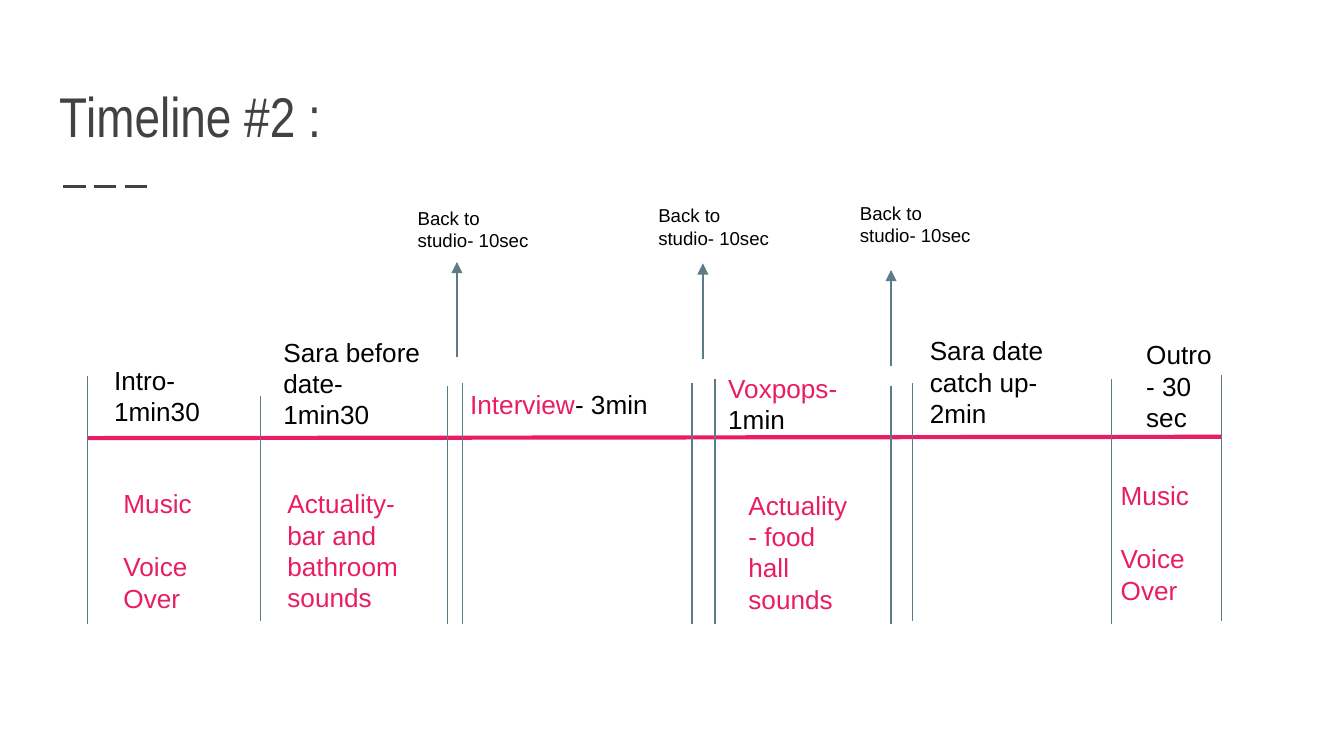
from lxml import etree
from pptx import Presentation
from pptx.dml.color import RGBColor
from pptx.enum.dml import MSO_LINE
from pptx.enum.shapes import MSO_CONNECTOR
from pptx.enum.text import MSO_ANCHOR, MSO_AUTO_SIZE, PP_ALIGN
from pptx.oxml.ns import qn
from pptx.util import Inches, Pt

STRAIGHT = MSO_CONNECTOR.STRAIGHT
LONG_DASH = MSO_LINE.LONG_DASH
BOTTOM, TOP = MSO_ANCHOR.BOTTOM, MSO_ANCHOR.TOP
GROW = MSO_AUTO_SIZE.SHAPE_TO_FIT_TEXT
LEFT = PP_ALIGN.LEFT

PINK, SLATE, GRAY, BLACK = "E91D63", "5D7B89", "424242", "000000"

DIVIDERS = [
    (0.65, 2.8, 4.64), (1.94, 2.95, 4.62), (3.33, 2.87, 4.64),
    (3.44, 2.85, 4.64), (5.15, 2.85, 4.64), (5.32, 2.82, 4.64),
    (6.63, 2.87, 4.64), (6.79, 2.85, 4.62), (8.27, 2.82, 4.64),
    (9.09, 2.79, 4.62),
]
SEGMENTS = [
    (0.75, 2.66, 0.92, 0.57, [("Intro- 1min30", BLACK)]),
    (2.01, 2.45, 1.32, 0.81, [("Sara before date- 1min30", BLACK)]),
    (5.32, 2.72, 1.26, 0.57, [("Voxpops-", PINK), (" 1min", BLACK)]),
    (6.82, 2.44, 1.3, 0.81, [("Sara date catch up- 2min", BLACK)]),
    (8.43, 2.47, 0.7, 0.81, [("Outro- 30 sec", BLACK)]),
]
SOUNDS = [
    (0.82, 3.58, 1.03, 1.04, ["Music", "Voice Over"]),
    (2.04, 3.58, 1.2, 1.04, ["Actuality- bar and bathroom sounds"]),
    (5.47, 3.59, 0.95, 1.04, ["Actuality- food hall sounds"]),
    (8.24, 3.52, 1.03, 1.04, ["Music", "Voice Over"]),
]
STUDIO_BREAKS = [
    (3.01, 1.49, 3.4, 2.66), (4.8, 1.47, 5.23, 2.67), (6.3, 1.45, 6.63, 2.72),
]
ARROW_LENGTH = 0.71


def rgb(color):
    return RGBColor.from_string(color)


def add_line(slide, x1, y1, x2, y2, color=SLATE, width=0.75):
    line = slide.shapes.add_connector(
        STRAIGHT, Inches(x1), Inches(y1), Inches(x2), Inches(y2))
    line.line.color.rgb = rgb(color)
    line.line.width = Pt(width)
    etree.SubElement(line._element.spPr, qn("a:effectLst"))
    return line


def add_arrow(slide, x, y1, y2):
    arrow = add_line(slide, x, y1, x, y2)
    etree.SubElement(arrow.line._get_or_add_ln(), qn("a:tailEnd"), type="triangle")


def add_text(slide, x, y, w, h, paragraphs, size=14, wrap=True):
    box = slide.shapes.add_textbox(Inches(x), Inches(y), Inches(w), Inches(h))
    tf = box.text_frame
    tf.word_wrap = wrap
    tf.auto_size = GROW
    tf.vertical_anchor = TOP
    for i, runs in enumerate(paragraphs):
        p = tf.add_paragraph() if i else tf.paragraphs[0]
        p.font.size = Pt(size)
        p.font.name = "Arial"
        if i:
            p.space_before = Pt(17)
        for text, color in runs:
            r = p.add_run()
            r.text = text
            r.font.color.rgb = rgb(color)


def set_title(slide, text):
    title = slide.shapes.title
    title.left, title.top = Inches(0.34), Inches(0.41)
    title.width, title.height = Inches(9.32), Inches(0.8)
    tf = title.text_frame
    tf.margin_left = tf.margin_right = Inches(0.1)
    tf.margin_top = tf.margin_bottom = Inches(0.1)
    tf.vertical_anchor = BOTTOM
    tf.text = text
    p = tf.paragraphs[0]
    p.alignment = LEFT
    p.font.size = Pt(30)
    p.font.name = "Arial Narrow"
    p.font.color.rgb = rgb(GRAY)


def main():
    prs = Presentation()
    prs.slide_width = Inches(10)
    prs.slide_height = prs.slide_width * 9 // 16
    slide = prs.slides.add_slide(prs.slide_layouts[5])

    set_title(slide, "Timeline #2 :")
    rule = add_line(slide, 0.47, 1.39, 1.14, 1.39, GRAY, 1.5)
    rule.line.dash_style = LONG_DASH

    add_line(slide, 0.65, 3.26, 9.09, 3.25, PINK, 2.25)
    for x, top, bottom in DIVIDERS:
        add_line(slide, x, top, x, bottom)

    for x, y, w, h, runs in SEGMENTS:
        add_text(slide, x, y, w, h, [runs])
    add_text(slide, 3.4, 2.84, 1.53, 0.34,
             [[("Interview", PINK), ("- 3min", BLACK)]], wrap=False)
    for x, y, w, h, lines in SOUNDS:
        add_text(slide, x, y, w, h, [[(line, PINK)] for line in lines])

    for x, y, arrow_x, arrow_y in STUDIO_BREAKS:
        add_text(slide, x, y, 1.04, 0.44, [[("Back to studio- 10sec", BLACK)]], size=10)
        add_arrow(slide, arrow_x, arrow_y, arrow_y - ARROW_LENGTH)

    prs.save("out.pptx")


if __name__ == "__main__":
    main()
